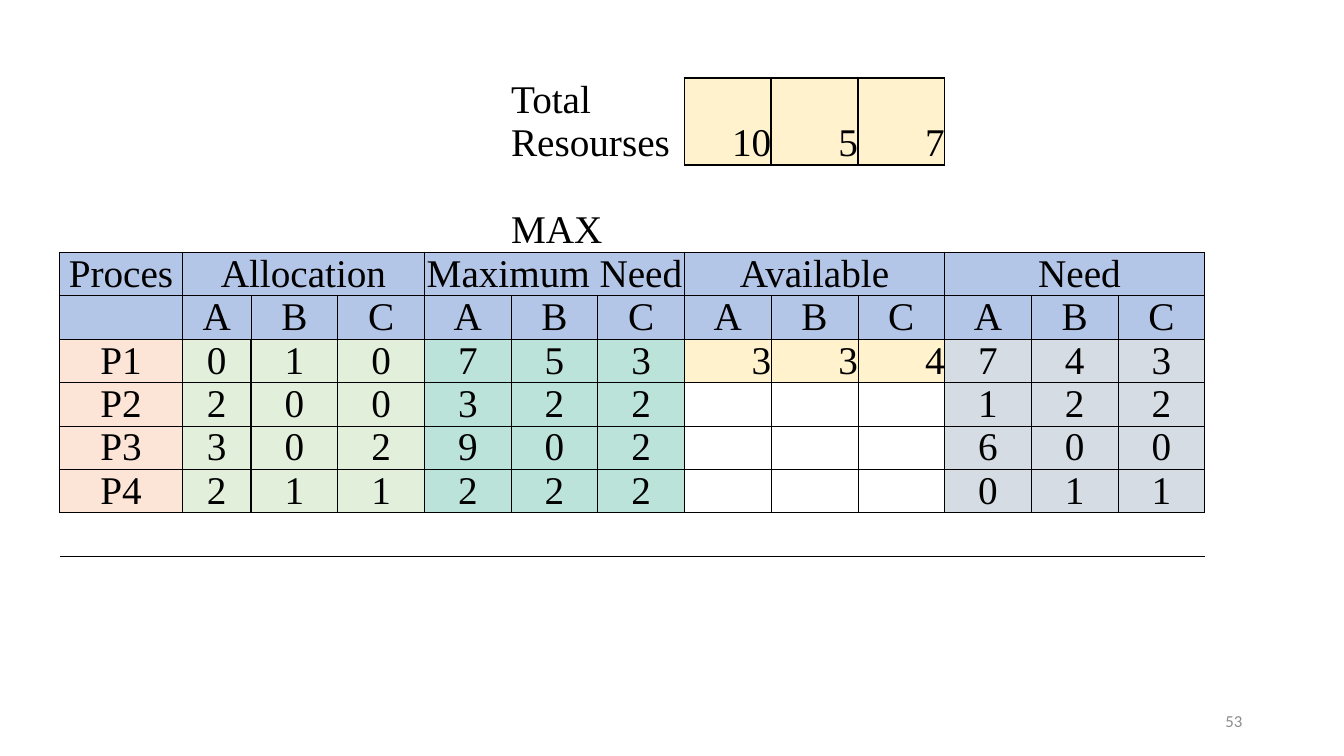
from lxml.etree import SubElement
from pptx import Presentation
from pptx.dml.color import RGBColor as RGB
from pptx.enum.text import MSO_ANCHOR as Anchor, PP_ALIGN as Align
from pptx.oxml.ns import qn
from pptx.util import Inches, Pt


class Theme:
    font, size = "Times New Roman", Pt(28)
    small_font, small = "Calibri", Pt(12)
    ink, gray = RGB(0, 0, 0), RGB(0x8C, 0x8C, 0x8C)
    head = RGB(0xB4, 0xC6, 0xE7)
    proc = RGB(0xFC, 0xE4, 0xD6)
    alloc = RGB(0xE2, 0xEF, 0xDA)
    most = RGB(0xBB, 0xE3, 0xD9)
    avail = RGB(0xFF, 0xF2, 0xCC)
    need = RGB(0xD6, 0xDC, 0xE4)
    thin, mid, thick = Pt(0.5), Pt(1), Pt(1.5)
    no_style = "{2D5ABB26-0587-4C30-8999-92F81FD0307C}"


def edge(cell, **sides):
    """Draw cell borders; the sides L, R, T and B each take a width."""
    props = cell._tc.get_or_add_tcPr()
    for side in "LRTB":
        if side in sides:
            line = SubElement(props, qn("a:ln" + side), w=str(sides[side]))
            fill = SubElement(line, qn("a:solidFill"))
            SubElement(fill, qn("a:srgbClr"), val=str(Theme.ink))


def put(cell, text, align=Align.CENTER, anchor=Anchor.BOTTOM, fill=None):
    """Write text in a cell and fill it; no fill leaves it clear."""
    cell.margin_left = cell.margin_right = 0
    cell.margin_top = cell.margin_bottom = 0
    cell.vertical_anchor = anchor
    cell.text = text
    para = cell.text_frame.paragraphs[0]
    para.alignment = align
    para.font.name, para.font.size = Theme.font, Theme.size
    para.font.color.rgb = Theme.ink
    if fill is None:
        cell.fill.background()
    else:
        cell.fill.solid()
        cell.fill.fore_color.rgb = fill


deck = Presentation()
deck.slide_width, deck.slide_height = Inches(13.33), Inches(7.5)
slide = deck.slides.add_slide(deck.slide_layouts[6])

ROWS, COLS = 11, 14
TOTAL, MAX, HEAD, SUB, LAST = 1, 3, 4, 5, 9
END = COLS - 1
widths = [1.22, 0.68] + [0.86] * 12
heights = [0.87 if row == TOTAL else 0.43 for row in range(ROWS)]
frame = slide.shapes.add_table(ROWS, COLS, Inches(0.59), Inches(0.34),
                               Inches(sum(widths)), Inches(sum(heights)))
table = frame.table
table.first_row = table.horz_banding = False
table._tbl.tblPr.find(qn("a:tableStyleId")).text = Theme.no_style
for col, width in zip(table.columns, widths):
    col.width = Inches(width)
for row, height in zip(table.rows, heights):
    row.height = Inches(height)

# Each group: first column, heading, fill, alignment of its values
groups = [
    (1, "Allocation", Theme.alloc, Align.CENTER),
    (4, "Maximum Need", Theme.most, Align.CENTER),
    (7, "Available", Theme.avail, Align.RIGHT),
    (10, " Need", Theme.need, Align.CENTER),
]
values = [
    ["010", "753", "334", "743"],
    ["200", "322", "   ", "122"],
    ["302", "902", "   ", "600"],
    ["211", "222", "   ", "011"],
]

# Merged cells
for row in (TOTAL, MAX):
    table.cell(row, 5).merge(table.cell(row, 6))
for start, *_ in groups:
    table.cell(HEAD, start).merge(table.cell(HEAD, start + 2))

# Borders
walls = {0, END} | {start for start, *_ in groups}
for row in range(HEAD, LAST + 1):
    for col in range(END):
        cell = table.cell(row, col)
        if cell.is_spanned:
            continue
        strong = walls | {2} if row > SUB else walls
        stop = col + cell.span_width
        edge(cell,
             L=Theme.mid if col in strong else Theme.thin,
             R=Theme.mid if stop in strong else Theme.thin,
             T=Theme.mid if row == HEAD else Theme.thin,
             B=Theme.mid if row == LAST else Theme.thin)
for col in range(END):
    edge(table.cell(MAX, col), B=Theme.mid)
    edge(table.cell(ROWS - 1, col), T=Theme.mid, B=Theme.mid)

# Text and fills
for row in range(ROWS):
    for col in range(COLS):
        put(table.cell(row, col), "")
for row, text in ((TOTAL, "Total Resourses"), (MAX, "MAX")):
    put(table.cell(row, 5), text, Align.LEFT)
for col, count in enumerate(("10", "5", "7"), 7):
    cell = table.cell(TOTAL, col)
    edge(cell, **dict.fromkeys("LRTB", Theme.thick))
    put(cell, count, Align.RIGHT, fill=Theme.avail)

put(table.cell(HEAD, 0), "Proces", anchor=Anchor.MIDDLE, fill=Theme.head)
put(table.cell(SUB, 0), "", fill=Theme.head)
for num in range(len(values)):
    put(table.cell(SUB + 1 + num, 0), f"P{num + 1}", fill=Theme.proc)
for part, (start, title, fill, align) in enumerate(groups):
    put(table.cell(HEAD, start), title, anchor=Anchor.MIDDLE, fill=Theme.head)
    for step, kind in enumerate("ABC"):
        col = start + step
        put(table.cell(SUB, col), kind, anchor=Anchor.MIDDLE, fill=Theme.head)
        for row, line in enumerate(values, SUB + 1):
            text = line[part][step].strip()
            put(table.cell(row, col), text, align, fill=fill if text else None)

# Slide number
box = slide.shapes.add_textbox(Inches(9.42), Inches(6.95), Inches(3), Inches(0.4))
box.text_frame.word_wrap = True
box.text_frame.vertical_anchor = Anchor.MIDDLE
para = box.text_frame.paragraphs[0]
para.text = "53"
para.alignment = Align.RIGHT
para.font.name, para.font.size = Theme.small_font, Theme.small
para.font.color.rgb = Theme.gray

deck.save("out.pptx")
